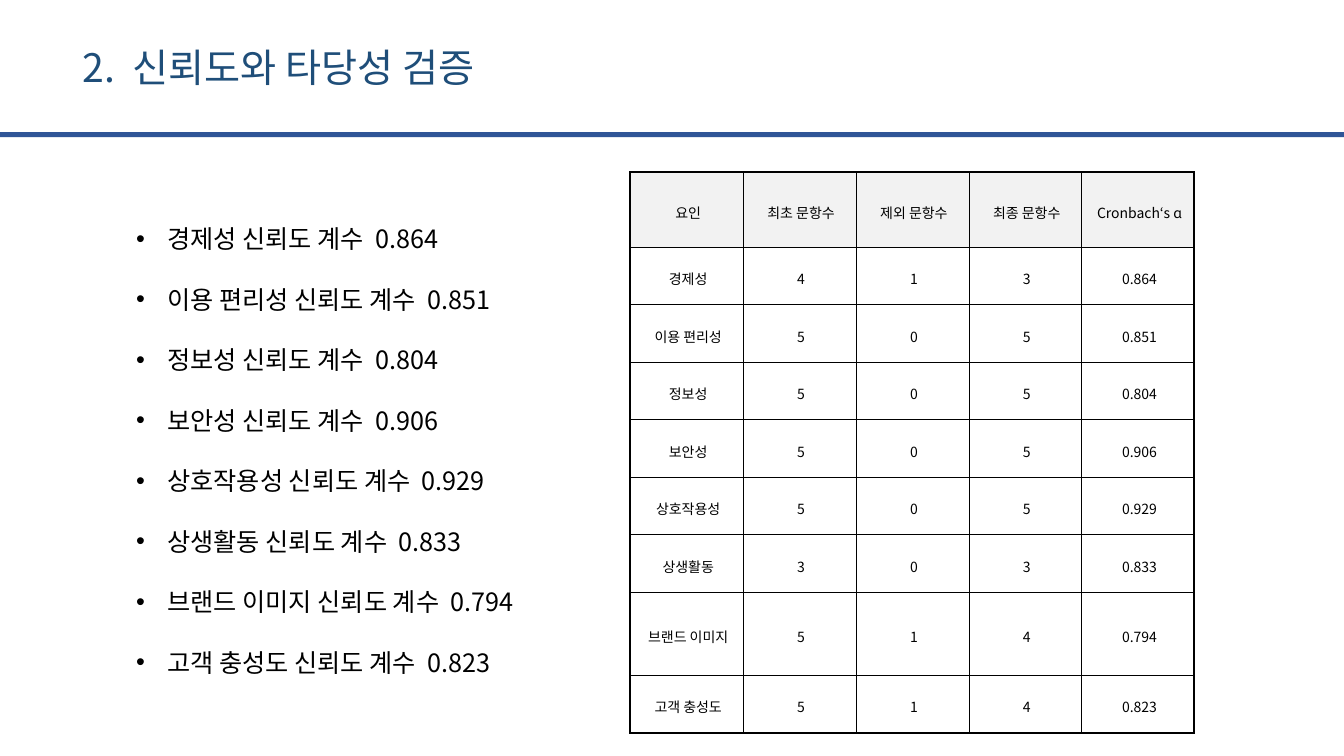
from pptx import Presentation
from pptx.dml.color import RGBColor
from pptx.enum.shapes import MSO_SHAPE
from pptx.enum.text import MSO_ANCHOR, PP_ALIGN
from pptx.oxml.ns import qn
from pptx.util import Cm, Pt
from lxml.etree import SubElement

FONT = "Noto Sans CJK KR"
COLORS = {"title": "1F4E79", "rule": "2F5597", "header": "F2F2F2", "text": "000000"}
HEADERS = ["요인", "최초 문항수", "제외 문항수", "최종 문항수", "Cronbach‘s ɑ"]
FACTORS = [
    ("경제성", 4, 1, 3, "0.864"),
    ("이용 편리성", 5, 0, 5, "0.851"),
    ("정보성", 5, 0, 5, "0.804"),
    ("보안성", 5, 0, 5, "0.906"),
    ("상호작용성", 5, 0, 5, "0.929"),
    ("상생활동", 3, 0, 3, "0.833"),
    ("브랜드 이미지", 5, 1, 4, "0.794"),
    ("고객 충성도", 5, 1, 4, "0.823"),
]


def rgb(name):
    """Return a palette colour."""
    return RGBColor.from_string(COLORS[name])


def add_run(p, text, size, color="text", spacing=0):
    """Add a run, with letter spacing in points."""
    r = p.add_run()
    r.text = text
    r.font.size = Pt(size)
    r.font.name = FONT
    r.font.color.rgb = rgb(color)
    rPr = r.font._element
    SubElement(rPr, qn("a:ea")).set("typeface", FONT)
    if spacing:
        rPr.set("spc", str(round(spacing * 100)))


def add_header(s, left, top, width, height):
    """Place the title and the rule across the slide."""
    title = s.shapes.title
    title.left, title.top, title.width, title.height = left, top, width, height
    tf = title.text_frame
    tf.word_wrap = False
    tf.vertical_anchor = MSO_ANCHOR.MIDDLE
    p = tf.paragraphs[0]
    p.alignment = PP_ALIGN.LEFT
    add_run(p, "2.", 28, "title")
    add_run(p, " ", 28, "title", 6.3)
    add_run(p, "신뢰도와 타당성 검증", 28, "title")
    rule = s.shapes.add_shape(MSO_SHAPE.RECTANGLE, 0, Cm(3.33), Cm(33.87), Cm(0.13))
    rule.shadow.inherit = False
    rule.fill.solid()
    rule.fill.fore_color.rgb = rgb("rule")
    rule.line.fill.background()


def add_bullets(s, left, top, width, height):
    """List the reliability coefficient of each factor."""
    tf = s.shapes.add_textbox(left, top, width, height).text_frame
    tf.word_wrap = True
    for i, (factor, *_, alpha) in enumerate(FACTORS):
        p = tf.paragraphs[0] if i == 0 else tf.add_paragraph()
        pPr = p._p.get_or_add_pPr()
        pPr.set("marL", str(Cm(0.79)))
        pPr.set("indent", str(-Cm(0.79)))
        SubElement(pPr, qn("a:buFont")).set("typeface", "Arial")
        SubElement(pPr, qn("a:buChar")).set("char", "•")
        p.line_spacing = Pt(21.6)
        if i:
            p.space_before = Pt(21.6)
        add_run(p, f"{factor} 신뢰도 계수", 18)
        add_run(p, " ", 18, spacing=4)
        add_run(p, alpha, 18)


def set_borders(cell, outer):
    """Draw thick lines on the outer sides and thin lines on the others."""
    tcPr = cell._tc.get_or_add_tcPr()
    for side in "LRTB":
        ln = SubElement(tcPr, qn(f"a:ln{side}"), w=str(Pt(1.7 if side in outer else 0.25)))
        fill = SubElement(ln, qn("a:solidFill"))
        SubElement(fill, qn("a:srgbClr"), val=COLORS["text"])


def add_factor_table(s, left, top, width, height):
    """Tabulate item counts and Cronbach's alpha."""
    rows = [HEADERS, *FACTORS]
    last_row, last_col = len(rows) - 1, len(HEADERS) - 1
    table = s.shapes.add_table(len(rows), len(HEADERS), left, top, width, height).table
    table.first_row = table.horz_banding = False
    for i, row in enumerate(rows):
        table.rows[i].height = Cm({0: 1.88, 7: 2.09}.get(i, 1.45))
        for j, value in enumerate(row):
            cell = table.cell(i, j)
            outer = {"L": j == 0, "R": j == last_col, "T": i == 0, "B": i == last_row}
            set_borders(cell, [side for side, on in outer.items() if on])
            if i == 0:
                cell.fill.solid()
                cell.fill.fore_color.rgb = rgb("header")
            else:
                cell.fill.background()
            cell.vertical_anchor = MSO_ANCHOR.MIDDLE
            cell.margin_left = cell.margin_right = Cm(0.18)
            cell.margin_top = cell.margin_bottom = Cm(0.05)
            p = cell.text_frame.paragraphs[0]
            p._p.get_or_add_pPr().set("marL", str(Cm(0.08)))
            p.alignment = PP_ALIGN.CENTER
            p.line_spacing = 1.3
            add_run(p, str(value), 10)


def main():
    """Build the reliability slide."""
    prs = Presentation()
    prs.slide_width, prs.slide_height = Cm(33.87), Cm(19.05)
    s = prs.slides.add_slide(prs.slide_layouts[5])
    add_header(s, Cm(1.83), Cm(0.97), Cm(11.4), Cm(1.45))
    add_factor_table(s, Cm(15.88), Cm(4.34), Cm(14.22), Cm(14.12))
    add_bullets(s, Cm(3.18), Cm(5.51), Cm(10.92), Cm(11.79))
    prs.save("out.pptx")


if __name__ == "__main__":
    main()
